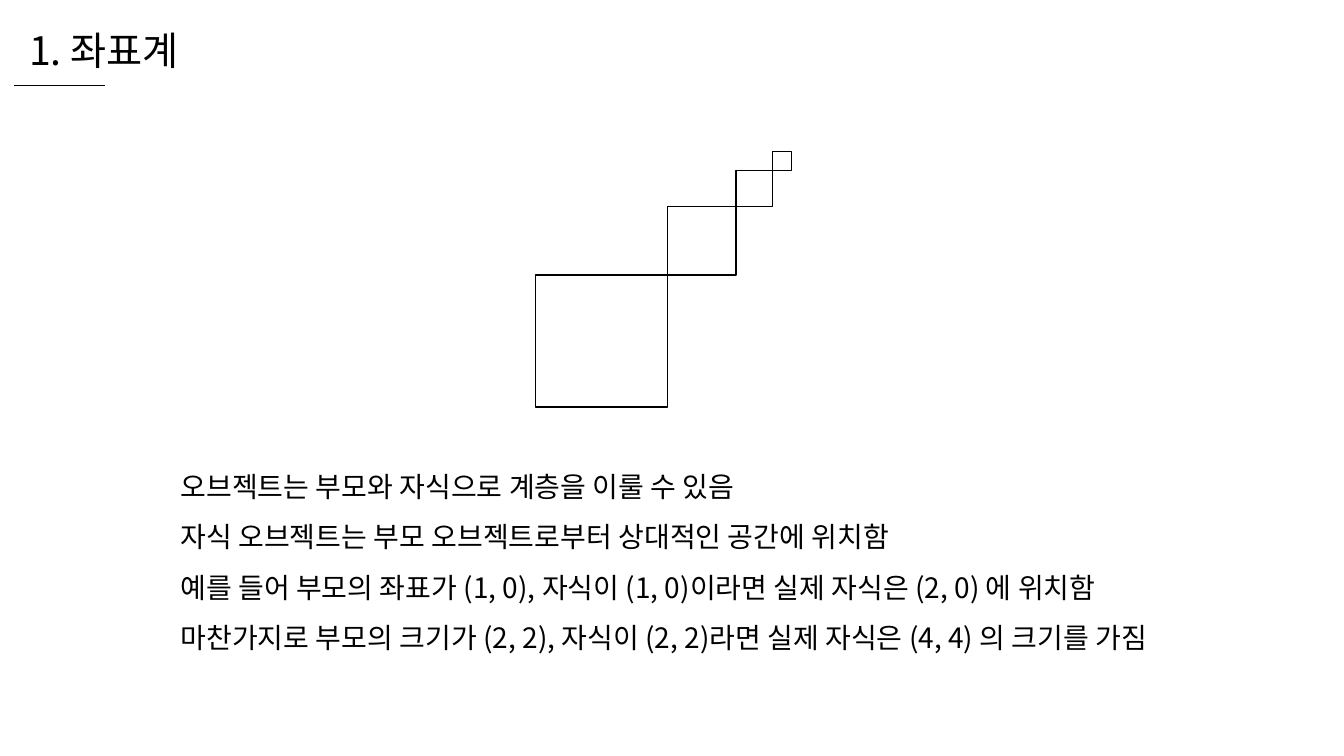
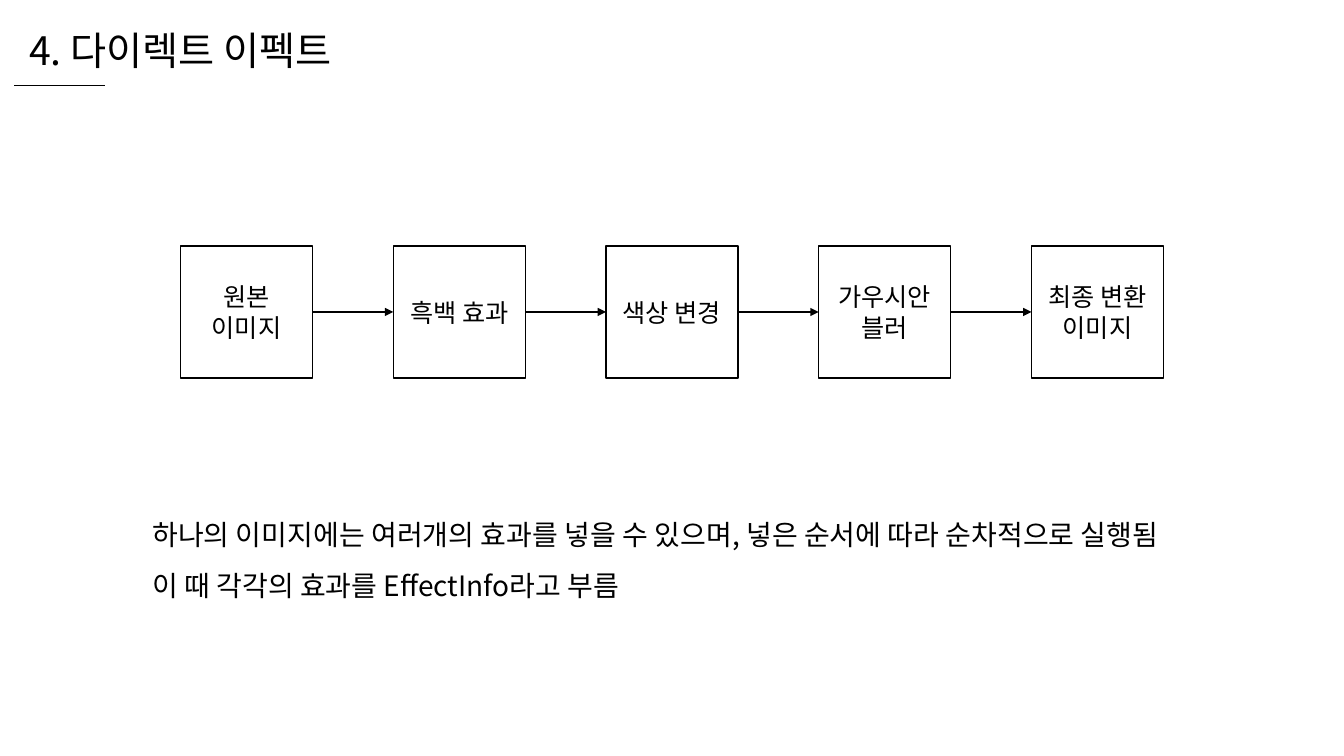
import lxml.etree
import pptx
import pptx.dml.color
import pptx.enum.shapes
import pptx.enum.text
import pptx.oxml.ns
import pptx.util

PX = 9144  # EMU in one px, 100 px to the inch
FONT = "Noto Sans CJK KR"
COLORS = {"ink": "000000", "paper": "FFFFFF"}
INK = pptx.dml.color.RGBColor.from_string(COLORS["ink"])
PAPER = pptx.dml.color.RGBColor.from_string(COLORS["paper"])
RECTANGLE = pptx.enum.shapes.MSO_SHAPE.RECTANGLE
STRAIGHT = pptx.enum.shapes.MSO_CONNECTOR.STRAIGHT
ALIGN = pptx.enum.text.PP_ALIGN
ANCHOR = pptx.enum.text.MSO_ANCHOR
qn = pptx.oxml.ns.qn


def write_lines(frame, lines, size, align, spacing=1.0):
    for index, line in enumerate(lines):
        para = frame.paragraphs[0] if index == 0 else frame.add_paragraph()
        para.alignment = align
        para.line_spacing = spacing
        para.space_before = pptx.util.Pt(0)
        span = para.add_run()
        span.text = line
        span.font.size = pptx.util.Pt(size)
        span.font.color.rgb = INK
        span.font.name = FONT
        lxml.etree.SubElement(span.font._element, qn("a:ea"), typeface=FONT)


def fill_placeholder(box, place, lines, size, spacing):
    box.left, box.top, box.width, box.height = [value * PX for value in place]
    frame = box.text_frame
    frame.auto_size = pptx.enum.text.MSO_AUTO_SIZE.NONE
    frame.vertical_anchor = ANCHOR.TOP
    write_lines(frame, lines, size, ALIGN.LEFT, spacing)
    for para in frame.paragraphs:
        properties = para._p.get_or_add_pPr()
        properties.set("marL", "0")
        properties.set("indent", "0")
        lxml.etree.SubElement(properties, qn("a:buNone"))


deck = pptx.Presentation()
deck.slide_width = 1333 * PX
deck.slide_height = 750 * PX

contents = [
    ("1. 좌표계", 178, (169, 444, 1029, 206), [
        "오브젝트는 부모와 자식으로 계층을 이룰 수 있음",
        "자식 오브젝트는 부모 오브젝트로부터 상대적인 공간에 위치함",
        "예를 들어 부모의 좌표가 (1, 0), 자식이 (1, 0)이라면 실제 자식은 (2, 0) 에 위치함",
        "마찬가지로 부모의 크기가 (2, 2), 자식이 (2, 2)라면 실제 자식은 (4, 4) 의 크기를 가짐",
    ]),
    ("4. 다이렉트 이펙트", 333, (141, 492, 1053, 111), [
        "하나의 이미지에는 여러개의 효과를 넣을 수 있으며, 넣은 순서에 따라 순차적으로 실행됨",
        "이 때 각각의 효과를 EffectInfo라고 부름",
    ]),
]

# Title, rule and body text of every page
pages, rules = [], []
for title, title_width, body_place, body_lines in contents:
    page = deck.slides.add_slide(deck.slide_layouts[1])
    fill_placeholder(page.shapes.title, (19, 21, title_width, 57), [title], 28, 1.0)
    page.shapes.title.text_frame.word_wrap = False
    fill_placeholder(page.placeholders[1], body_place, body_lines, 20, 1.5)
    rules.append(page.shapes.add_connector(
        STRAIGHT, 14 * PX, 85 * PX, 104 * PX, 85 * PX))
    pages.append(page)
hierarchy_page, effect_page = pages

# Parent and child squares, each on the top right corner of the one before
squares = []
group = hierarchy_page.shapes.add_group_shape()
left, bottom = 531, 404
for side in (131, 68, 36, 19):
    squares.append(group.shapes.add_shape(
        RECTANGLE, left * PX, (bottom - side) * PX, side * PX, side * PX))
    left += side
    bottom -= side

# Chain of effects
steps = [["원본 이미지"], ["흑백 효과"], ["색상 변경"], ["가우시안", "블러"], ["최종 변환 이미지"]]
chain = []
for index, label in enumerate(steps):
    box = effect_page.shapes.add_shape(
        RECTANGLE, (179 + 211 * index) * PX, 244 * PX, 131 * PX, 131 * PX)
    box.text_frame.vertical_anchor = ANCHOR.MIDDLE
    write_lines(box.text_frame, label, 18, ALIGN.CENTER)
    chain.append(box)

arrows = []
for source, target in zip(chain, chain[1:]):
    arrow = effect_page.shapes.add_connector(STRAIGHT, 0, 0, 0, 0)
    arrow.begin_connect(source, 3)
    arrow.end_connect(target, 1)
    arrows.append(arrow)

# Shared look of boxes and lines
for box in squares + chain:
    box.shadow.inherit = False
    box.fill.solid()
    box.fill.fore_color.rgb = PAPER
    box.line.color.rgb = INK
    box.line.width = pptx.util.Pt(1)

for lines, width in ((rules, 0.5), (arrows, 1)):
    for line in lines:
        line.line.color.rgb = INK
        line.line.width = pptx.util.Pt(width)
        lxml.etree.SubElement(line._element.spPr, qn("a:effectLst"))

for arrow in arrows:
    outline = arrow._element.spPr.find(qn("a:ln"))
    lxml.etree.SubElement(outline, qn("a:tailEnd"), type="triangle")

deck.save("out.pptx")
